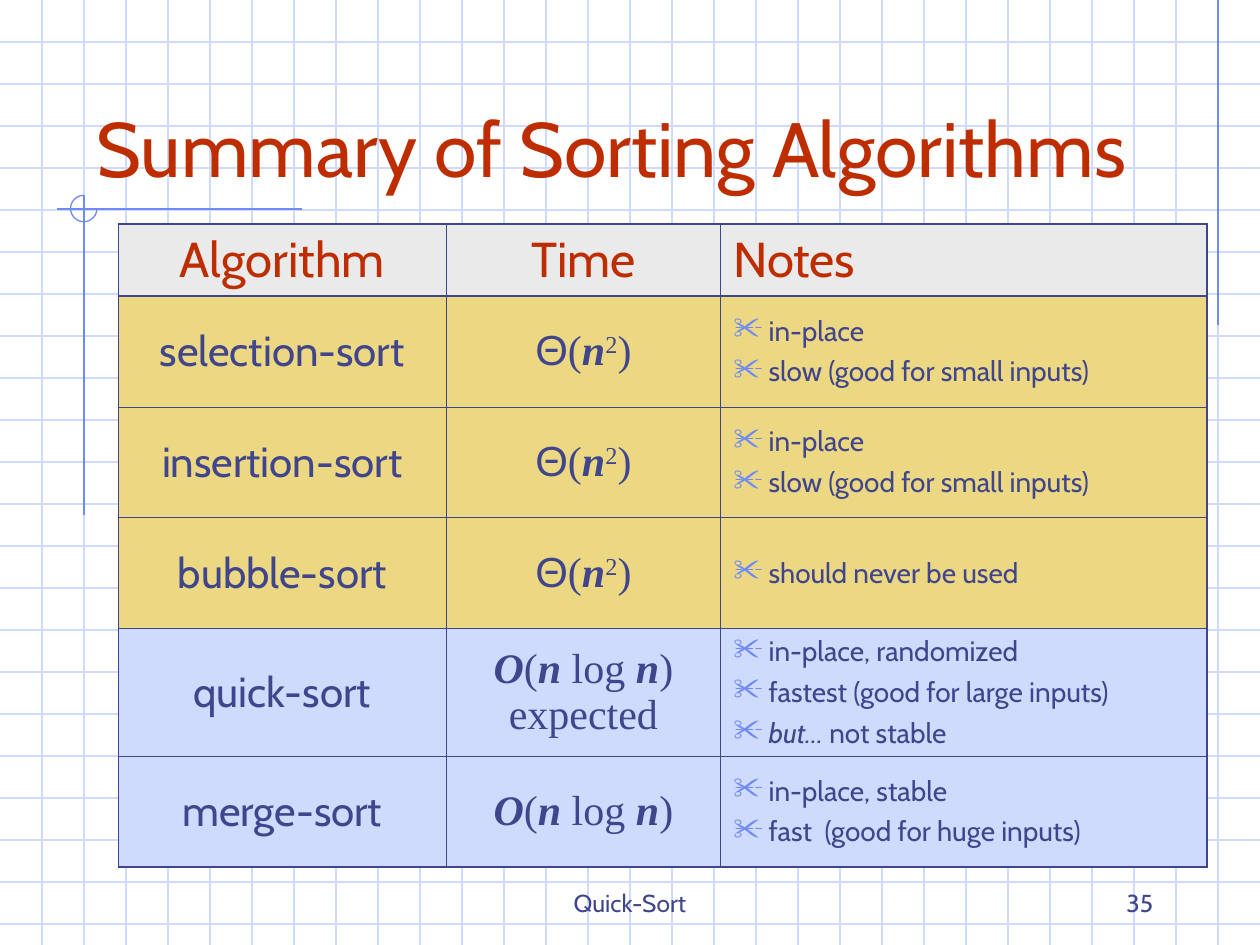
from lxml.etree import SubElement as Sub
from pptx import Presentation
from pptx.dml.color import RGBColor as RGB
from pptx.enum.shapes import MSO_CONNECTOR as Link, MSO_SHAPE as Shape
from pptx.enum.text import MSO_ANCHOR as Anchor, PP_ALIGN as Align
from pptx.oxml.ns import qn
from pptx.util import Inches, Pt

# The slide is a grid of 30 by 22.5 squares
UNIT = Inches(1 / 3)
COLS, ROWS = 30, 22.5
INK, RED, BLUE, PALE = "40458C", "BE2D00", "6F89F7", "CFDBFD"
GREY, GOLD = "EAEAEA", "ECD882"
THIN, THICK = Pt(0.45), Pt(1.08)

deck = Presentation()
deck.slide_width, deck.slide_height = int(COLS * UNIT), int(ROWS * UNIT)
slide = deck.slides.add_slide(deck.slide_layouts[6])
shapes = slide.shapes


def draw(color, *ends):
    line = shapes.add_connector(Link.STRAIGHT, *[int(n * UNIT) for n in ends])
    line.line.color.rgb = RGB.from_string(color)
    line.line.width = Pt(0.75)
    Sub(line._element.spPr, qn("a:effectLst"))


def write(para, parts, size, color, align=Align.LEFT):
    """Parts are (text, format) pairs; a newline is a line break."""
    para.alignment = align
    for text, look in parts:
        if text == "\n":
            para.add_line_break()
            continue
        run = para.add_run()
        run.text = text
        run.font.size = Pt(size)
        run.font.color.rgb = RGB.from_string(color)
        for key, value in look.items():
            if key == "base":
                run.font._element.set("baseline", value)
            else:
                setattr(run.font, key, value)


# Graph paper
for row in range(1, 23):
    draw(PALE, 0, row, COLS, row)
for col in range(1, COLS):
    draw(PALE, col, 0, col, ROWS)

# Accent lines and the open circle
for ends in [(29, 0, 29, 7.74), (7.2, 4.98, 1.35, 4.98), (2, 4.65, 2, 12.27)]:
    draw(BLUE, *ends)
arc = shapes.add_shape(Shape.ARC, *[int(n * UNIT) for n in (1.68, 4.65, 0.63, 0.63)])
arc.adjustments[0], arc.adjustments[1] = 0, 162
arc.shadow.inherit = False
arc.fill.background()
arc.line.color.rgb = RGB.from_string(BLUE)
arc.line.width = Pt(0.75)

# Text formats
SANS = {"name": "Cabin"}
SLANT = {"name": "Cabin", "italic": True}
GREEK = {"name": "Arial"}
MATH = {"name": "Times New Roman"}
VAR = {"name": "Times New Roman", "bold": True, "italic": True}
POWER = {"name": "Times New Roman", "base": "30000"}

# Title, footer and page number
for text, size, color, align, area in [
    ("Quick-Sort", 14, INK, Align.CENTER, (10.25, 20.5, 9.5, 1.5)),
    ("35", 14, INK, Align.RIGHT, (21.5, 20.5, 6.25, 1.5)),
    ("Summary of Sorting Algorithms", 44, RED, Align.LEFT, (2, 1, 26.5, 3.75)),
]:
    frame = shapes.add_textbox(*[int(n * UNIT) for n in area]).text_frame
    frame.word_wrap = True
    frame.vertical_anchor = Anchor.BOTTOM
    write(frame.paragraphs[0], [(text, SANS)], size, color, align)

# Table content: name, time, notes, fill
square = [("Θ", GREEK), ("(", MATH), ("n", VAR), ("2", POWER), (")", MATH)]
nlogn = [("O", VAR), ("(", MATH), ("n", VAR), (" log ", MATH), ("n", VAR), (")", MATH)]
small = [[("in-place", SANS)], [("slow (good for small inputs)", SANS)]]
sorts = [
    ("selection-sort", square, small, GOLD),
    ("insertion-sort", square, small, GOLD),
    ("bubble-sort", square, [[("should never be used", SANS)]], GOLD),
    ("quick-sort", nlogn + [("\n", MATH), ("expected", MATH)],
     [[("in-place, randomized", SANS)],
      [("fastest (good for large inputs)", SANS)],
      [("but…", SLANT), (" not stable", SANS)]], PALE),
    ("merge-sort", nlogn,
     [[("in-place, stable", SANS)], [("fast  (good for huge inputs)", SANS)]], PALE),
]

# Table frame
wide = [7.8, 6.54, 11.58]
high = [1.71, 2.64, 2.64, 2.64, 3.03, 2.64]
area = (2.82, 5.34, sum(wide), sum(high))
table = shapes.add_table(len(high), len(wide), *[int(n * UNIT) for n in area]).table
table.first_row = table.horz_banding = False
for col, size in zip(table.columns, wide):
    col.width = int(size * UNIT)
for row, size in zip(table.rows, high):
    row.height = int(size * UNIT)

# Cell borders and fills
fills = [GREY] + [sort[3] for sort in sorts]
for r, fill in enumerate(fills):
    for c in range(len(wide)):
        cell = table.cell(r, c)
        cell.vertical_anchor = Anchor.MIDDLE
        props = cell._tc.get_or_add_tcPr()
        for side, bold in [("L", c == 0), ("R", c == len(wide) - 1),
                           ("T", r < 2), ("B", r in (0, len(high) - 1))]:
            edge = Sub(props, qn("a:ln" + side), w=str(THICK if bold else THIN))
            Sub(Sub(edge, qn("a:solidFill")), qn("a:srgbClr"), val=INK)
        cell.fill.solid()
        cell.fill.fore_color.rgb = RGB.from_string(fill)

# Header row
heads = [("Algorithm", Align.CENTER), ("Time", Align.CENTER), ("Notes", Align.LEFT)]
for c, (text, align) in enumerate(heads):
    para = table.cell(0, c).text_frame.paragraphs[0]
    write(para, [(text, SANS)], 28, RED, align)

# Body rows
for r, (name, time, notes, fill) in enumerate(sorts, 1):
    for c, parts in enumerate([[(name, SANS)], time]):
        para = table.cell(r, c).text_frame.paragraphs[0]
        write(para, parts, 24, INK, Align.CENTER)
    frame = table.cell(r, 2).text_frame
    for i, parts in enumerate(notes):
        para = frame.add_paragraph() if i else frame.paragraphs[0]
        if i:
            para.space_before = Pt(4)
        props = para._p.get_or_add_pPr()
        props.set("marL", str(Inches(0.28)))
        props.set("indent", str(-Inches(0.28)))
        Sub(Sub(props, qn("a:buClr")), qn("a:srgbClr"), val=BLUE)
        Sub(props, qn("a:buSzPct"), val="110000")
        Sub(props, qn("a:buChar"), char="✂")
        write(para, parts, 16, INK)

deck.save("out.pptx")
